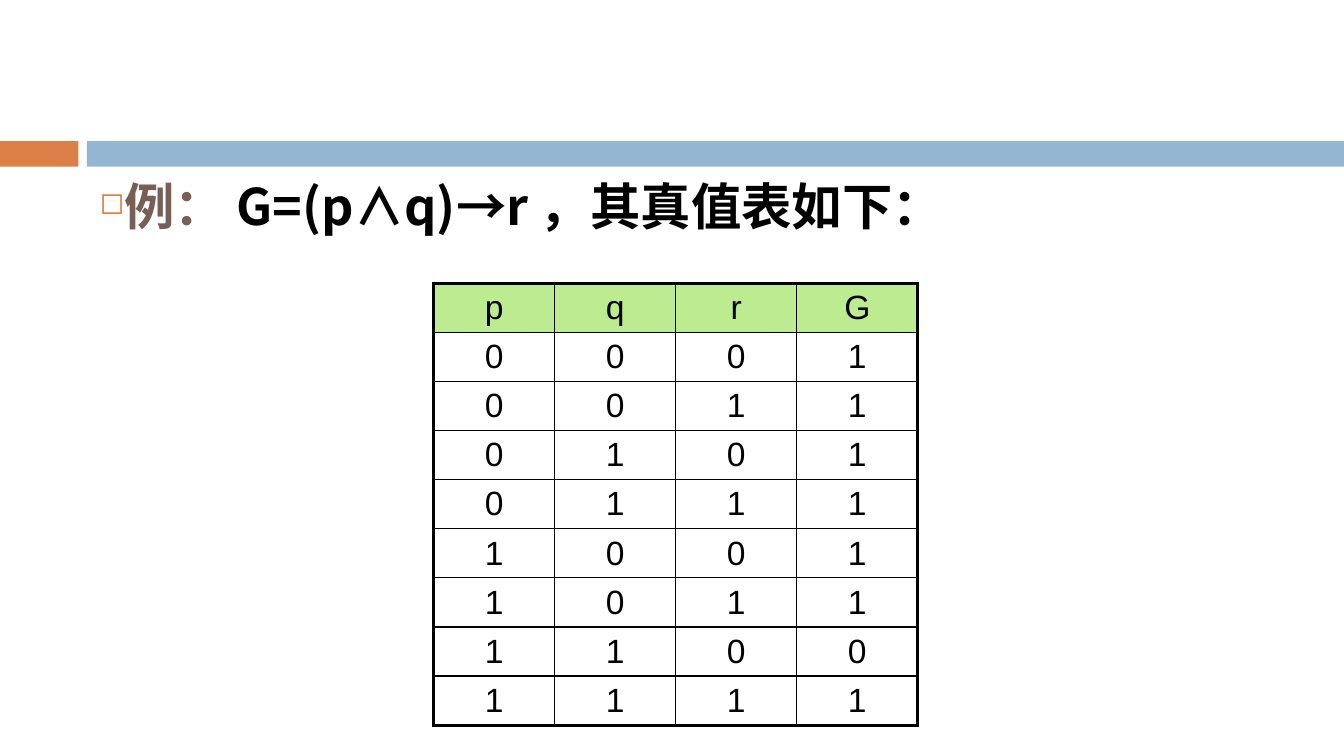
from itertools import product

from lxml.etree import SubElement
from pptx import Presentation
from pptx.dml.color import RGBColor
from pptx.enum.shapes import MSO_SHAPE
from pptx.enum.text import MSO_ANCHOR, PP_ALIGN
from pptx.oxml.ns import qn
from pptx.util import Cm, Pt

COLORS = {
    "orange": "DD8047",
    "blue": "94B6D2",
    "brown": "775F55",
    "green": "BDEB8F",
    "black": "000000",
}
HEADING_FONT = "Noto Sans CJK SC"


def add_text(paragraph, text, font="Arial", size=24, color="black", bold=False):
    run = paragraph.add_run()
    run.text = text
    run.font.name = font
    run.font.size = Pt(size)
    run.font.bold = bold
    run.font.color.rgb = RGBColor.from_string(COLORS[color])
    SubElement(run.font._element, qn("a:ea"), typeface=font)


def add_border(cell, side, width):
    """Draw one side (L, R, T or B) of a cell in black, with the width in points."""
    line = SubElement(cell._tc.get_or_add_tcPr(), qn(f"a:ln{side}"), w=str(Pt(width)))
    fill = SubElement(line, qn("a:solidFill"))
    SubElement(fill, qn("a:srgbClr"), val=COLORS["black"])


presentation = Presentation()
presentation.slide_width = Cm(33.87)
presentation.slide_height = Cm(19.05)
slide = presentation.slides.add_slide(presentation.slide_layouts[6])

# Bands across the slide
for left, width, color in [(0, 1.98, "orange"), (2.19, 31.68, "blue")]:
    band = slide.shapes.add_shape(
        MSO_SHAPE.RECTANGLE, Cm(left), Cm(3.56), Cm(width), Cm(0.64)
    )
    band.shadow.inherit = False
    band.fill.solid()
    band.fill.fore_color.rgb = RGBColor.from_string(COLORS[color])
    band.line.fill.background()

# Heading with a square bullet
heading = slide.shapes.add_textbox(Cm(2.26), Cm(4.45), Cm(30.2), Cm(2))
heading.text_frame.word_wrap = True
paragraph = heading.text_frame.paragraphs[0]
paragraph.line_spacing = 0.9
properties = paragraph._p.get_or_add_pPr()
properties.set("marL", str(Cm(0.45)))
properties.set("indent", str(-Cm(0.45)))
bullet_color = SubElement(properties, qn("a:buClr"))
SubElement(bullet_color, qn("a:srgbClr"), val=COLORS["orange"])
SubElement(properties, qn("a:buSzPct"), val="60000")
SubElement(properties, qn("a:buChar"), char="◻")
add_text(paragraph, "例：", font=HEADING_FONT, size=36, color="brown", bold=True)
add_text(paragraph, " G=(p∧q)→r ，其真值表如下：", font=HEADING_FONT, size=36, bold=True)

# Truth table
rows = [("p", "q", "r", "G")]
for p, q, r in product((0, 1), repeat=3):
    rows.append((p, q, r, int(not (p and q) or r)))
row_count, column_count = len(rows), len(rows[0])

frame = slide.shapes.add_table(
    row_count, column_count, Cm(10.93), Cm(7.14), Cm(3.05 * column_count), Cm(1.2 * row_count)
)
table = frame.table
table.first_row = False
table.horz_banding = False
for column in table.columns:
    column.width = Cm(3.05)

for row_index, values in enumerate(rows):
    table.rows[row_index].height = Cm(1.2)
    for column_index, value in enumerate(values):
        cell = table.cell(row_index, column_index)
        cell.margin_top = cell.margin_bottom = Cm(0.11)
        cell.vertical_anchor = MSO_ANCHOR.MIDDLE
        outer_sides = {
            "L": column_index == 0,
            "R": column_index == column_count - 1,
            "T": row_index == 0,
            "B": row_index == row_count - 1,
        }
        for side, is_outer in outer_sides.items():
            add_border(cell, side, 2.25 if is_outer else 1)
        if row_index == 0:
            cell.fill.solid()
            cell.fill.fore_color.rgb = RGBColor.from_string(COLORS["green"])
        else:
            cell.fill.background()
        paragraph = cell.text_frame.paragraphs[0]
        paragraph.alignment = PP_ALIGN.CENTER
        add_text(paragraph, str(value))

presentation.save("out.pptx")
